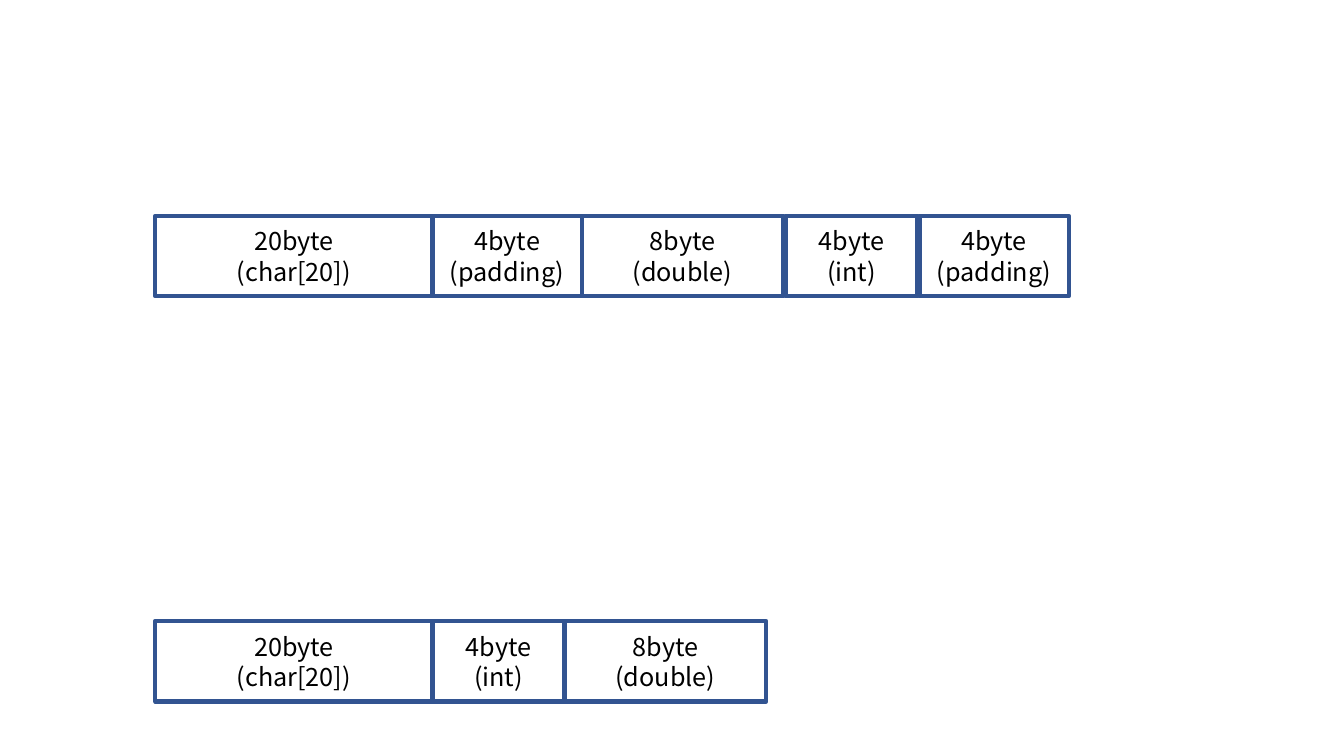
from pptx import Presentation
from pptx.dml.color import RGBColor
from pptx.enum.shapes import MSO_SHAPE
from pptx.enum.text import MSO_ANCHOR, PP_ALIGN
from pptx.util import Inches, Pt

RECTANGLE = MSO_SHAPE.RECTANGLE
MIDDLE = MSO_ANCHOR.MIDDLE
CENTER = PP_ALIGN.CENTER

COLORS = {"border": "325491", "text": "000000"}
FONT = {"name": "Noto Sans CJK KR", "size": Pt(18)}
PARAGRAPH = {"alignment": CENTER, "line_spacing": Pt(21.8)}
ROW_LEFT = 1.54
FIELD_HEIGHT = 0.8
FIELDS = {
    "char[20]": ("20byte", 2.75),
    "padding": ("4byte", 1.48),
    "double": ("8byte", 2),
    "int": ("4byte", 1.31),
}
LAYOUTS = [
    (2.14, 0.02, ["char[20]", "padding", "double", "int", "padding"]),
    (6.16, 0, ["char[20]", "int", "double"]),
]


def set_attributes(target, values):
    for name, value in values.items():
        setattr(target, name, value)


def add_field(slide, left, top, kind):
    size, width = FIELDS[kind]
    field = slide.shapes.add_shape(
        RECTANGLE, Inches(left), Inches(top), Inches(width), Inches(FIELD_HEIGHT)
    )
    field.shadow.inherit = False
    field.fill.background()
    field.line.color.rgb = RGBColor.from_string(COLORS["border"])
    field.line.width = Pt(3)
    frame = field.text_frame
    frame.vertical_anchor = MIDDLE
    frame.word_wrap = True
    for index, label in enumerate([size, f"({kind})"]):
        paragraph = frame.paragraphs[0] if index == 0 else frame.add_paragraph()
        set_attributes(paragraph, PARAGRAPH)
        run = paragraph.add_run()
        run.text = label
        set_attributes(run.font, FONT)
        run.font.color.rgb = RGBColor.from_string(COLORS["text"])
    return width


def add_memory_layout(slide, top, int_gap, kinds):
    left = ROW_LEFT
    for kind in kinds:
        gap = int_gap if kind == "int" else 0
        left += gap
        left += add_field(slide, left, top, kind) + gap


def main():
    presentation = Presentation()
    presentation.slide_width = Inches(13.33)
    presentation.slide_height = Inches(7.5)
    slide = presentation.slides.add_slide(presentation.slide_layouts[6])
    for top, int_gap, kinds in LAYOUTS:
        add_memory_layout(slide, top, int_gap, kinds)
    presentation.save("out.pptx")


if __name__ == "__main__":
    main()
